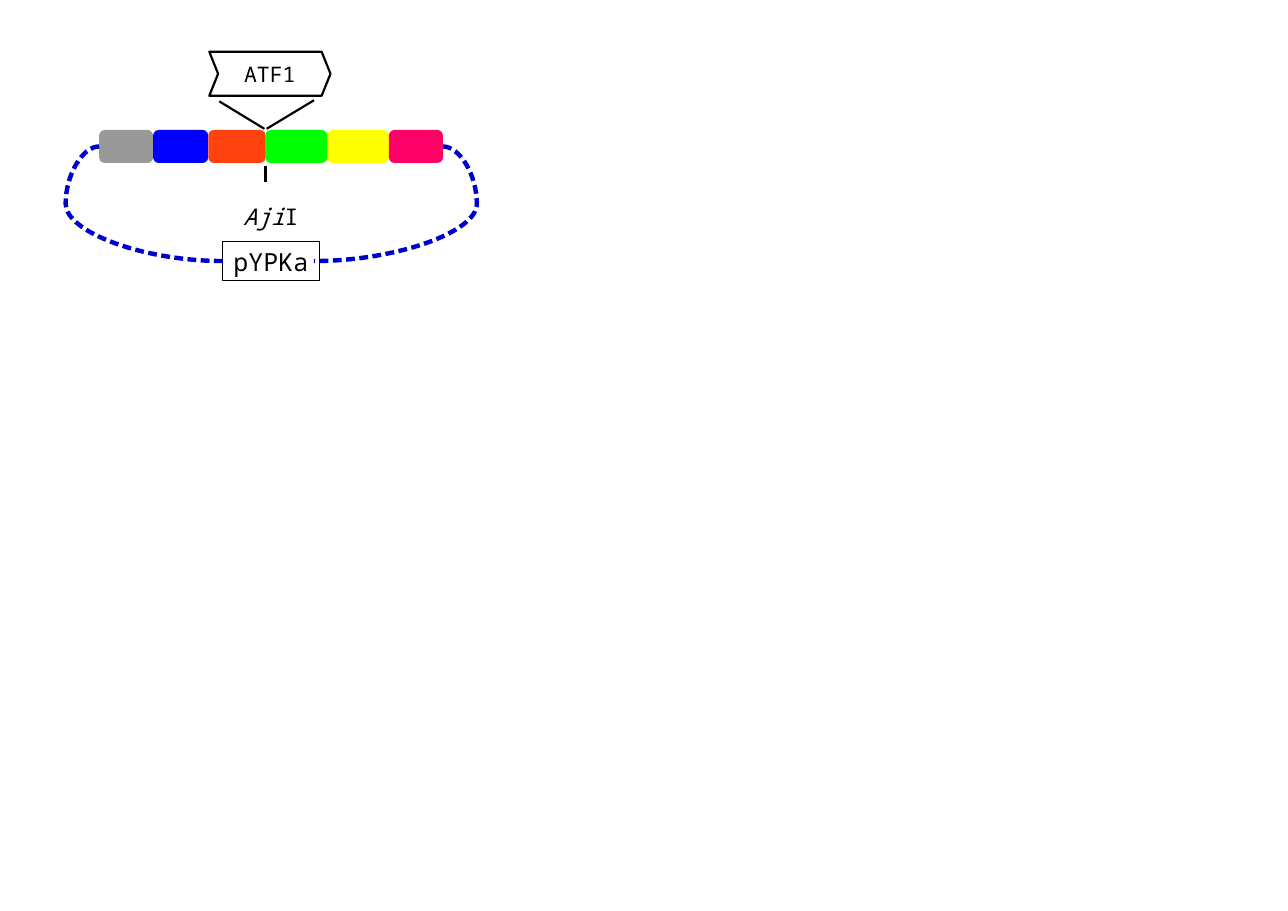
from dataclasses import dataclass
from itertools import accumulate
from typing import Optional

from lxml.etree import SubElement
from pptx import Presentation
from pptx.dml.color import RGBColor
from pptx.enum.shapes import MSO_CONNECTOR, MSO_SHAPE
from pptx.enum.text import MSO_ANCHOR, MSO_AUTO_SIZE, PP_ALIGN
from pptx.oxml.ns import qn
from pptx.shapes.autoshape import Shape
from pptx.slide import Slide
from pptx.text.text import TextFrame
from pptx.util import Inches, Pt

FONT = "Noto Sans Mono"
BLACK = RGBColor(0x00, 0x00, 0x00)
BACKBONE_BLUE = RGBColor(0x00, 0x00, 0xCC)
GRAY = RGBColor(0x99, 0x99, 0x99)
BLUE = RGBColor(0x00, 0x00, 0xFF)
ORANGE = RGBColor(0xFF, 0x42, 0x0E)
GREEN = RGBColor(0x00, 0xFF, 0x00)
YELLOW = RGBColor(0xFF, 0xFF, 0x00)
PINK = RGBColor(0xFF, 0x00, 0x66)

CASSETTE_LEFT, CASSETTE_TOP, CASSETTE_HEIGHT = 0.9, 1.18, 0.3


@dataclass(frozen=True)
class Segment:
    width: float
    color: RGBColor


@dataclass(frozen=True)
class Link:
    start: tuple[float, float]
    end: tuple[float, float]
    color: RGBColor = BLACK
    weight: float = 1.42
    bulge: Optional[int] = None  # bend of a dashed curve, in 1/100000 of its width


SEGMENTS = [
    Segment(0.49, GRAY),
    Segment(0.5, BLUE),
    Segment(0.52, ORANGE),
    Segment(0.56, GREEN),
    Segment(0.56, YELLOW),
    Segment(0.49, PINK),
]
BACKBONE = [
    Link((0.9, 1.33), (2.02, 2.37), BACKBONE_BLUE, 2.89, -27200),
    Link((4.02, 1.33), (2.85, 2.37), BACKBONE_BLUE, 2.89, -26400),
]
MARKS = [
    Link((2.41, 1.65), (2.41, 1.51), weight=1.45),  # cutting site
    Link((1.99, 0.92), (2.4, 1.17)),  # insertion of the gene
    Link((2.85, 0.91), (2.42, 1.17)),
]
GENE_OUTLINE = [(1.9, 0.47), (2.92, 0.47), (3, 0.67), (2.92, 0.87), (1.9, 0.87), (1.98, 0.67)]


def draw_segment(page: Slide, segment: Segment, left: float) -> None:
    box = page.shapes.add_shape(
        MSO_SHAPE.ROUNDED_RECTANGLE, Inches(left), Inches(CASSETTE_TOP),
        Inches(segment.width), Inches(CASSETTE_HEIGHT))
    box.shadow.inherit = False
    box.fill.solid()
    box.fill.fore_color.rgb = segment.color
    box.line.fill.background()


def draw_link(page: Slide, link: Link) -> None:
    kind = MSO_CONNECTOR.STRAIGHT if link.bulge is None else MSO_CONNECTOR.CURVE
    connector = page.shapes.add_connector(kind, *map(Inches, link.start + link.end))
    connector.line.color.rgb = link.color
    connector.line.width = Pt(link.weight)
    properties = connector._element.spPr
    SubElement(properties, qn("a:effectLst"))
    if link.bulge is not None:
        adjustments = properties.find(".//" + qn("a:avLst"))
        SubElement(adjustments, qn("a:gd"), name="adj1", fmla=f"val {link.bulge}")
        dashes = SubElement(properties.find(qn("a:ln")), qn("a:custDash"))
        SubElement(dashes, qn("a:ds"), d="200000", sp="100000")


def outline_only(shape: Shape, weight: float) -> None:
    shape.shadow.inherit = False
    shape.fill.background()
    shape.line.color.rgb = BLACK
    shape.line.width = Pt(weight)


def write_text(frame: TextFrame, text: str, size: float, wrap: bool = False,
               align: PP_ALIGN = PP_ALIGN.LEFT, italic: bool = False) -> None:
    frame.word_wrap = wrap
    para = frame.paragraphs[0]
    para.text = text
    para.alignment = align
    format_span(para.runs[0], size, italic)


def format_span(span, size: float, italic: bool = False) -> None:
    span.font.name = FONT
    span.font.size = Pt(size)
    span.font.italic = italic
    span.font.color.rgb = BLACK


def draw_enzyme(page: Slide) -> None:
    box = page.shapes.add_textbox(Inches(2.11), Inches(1.79), Inches(0.7), Inches(0.34))
    write_text(box.text_frame, "Aji", 15, wrap=True, italic=True)
    span = box.text_frame.paragraphs[0].add_run()
    span.text = "I"
    format_span(span, 15)


def draw_gene(page: Slide) -> None:
    corners = [(Inches(x), Inches(y)) for x, y in GENE_OUTLINE]
    builder = page.shapes.build_freeform(*corners[0])
    builder.add_line_segments(corners[1:], close=True)
    gene = builder.convert_to_shape()
    outline_only(gene, 1.42)
    write_text(gene.text_frame, "ATF1", 14, align=PP_ALIGN.CENTER)
    gene.text_frame.vertical_anchor = MSO_ANCHOR.MIDDLE


def draw_vector_name(page: Slide) -> None:
    box = page.shapes.add_shape(
        MSO_SHAPE.RECTANGLE, Inches(2.02), Inches(2.19), Inches(0.88), Inches(0.36))
    outline_only(box, 0)
    write_text(box.text_frame, "pYPKa", 16.3)
    box.text_frame.vertical_anchor = MSO_ANCHOR.TOP
    box.text_frame.auto_size = MSO_AUTO_SIZE.SHAPE_TO_FIT_TEXT


def main() -> None:
    deck = Presentation()
    deck.slide_width, deck.slide_height = Inches(11.69), Inches(8.27)
    page = deck.slides.add_slide(deck.slide_layouts[6])

    # Cassette: segments laid end to end
    lefts = accumulate((segment.width for segment in SEGMENTS), initial=CASSETTE_LEFT)
    for segment, left in zip(SEGMENTS, lefts):
        draw_segment(page, segment, left)

    # Labels
    draw_enzyme(page)
    draw_gene(page)
    draw_vector_name(page)

    # Plasmid backbone and marks
    for link in BACKBONE + MARKS:
        draw_link(page, link)

    deck.save("out.pptx")


if __name__ == "__main__":
    main()
